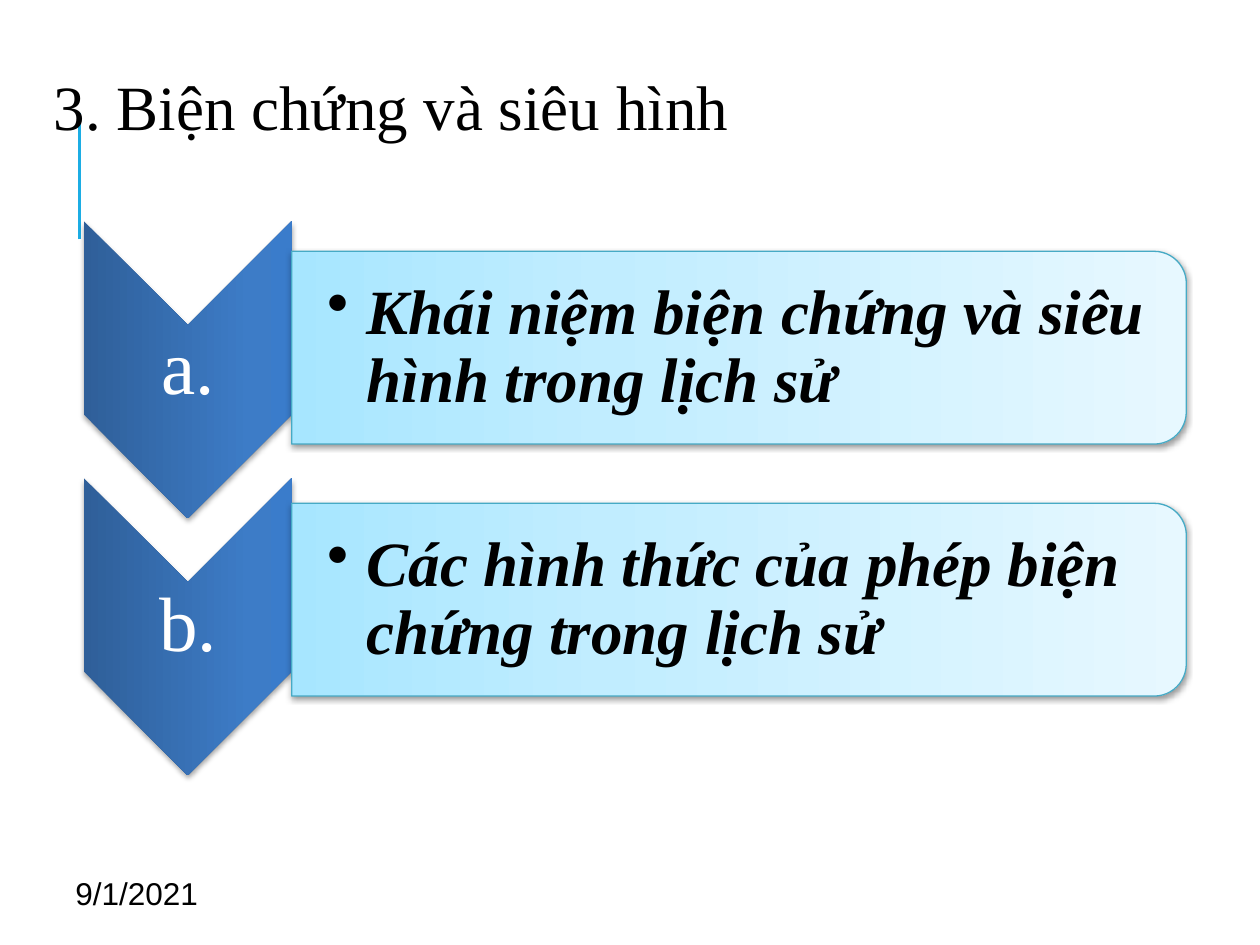
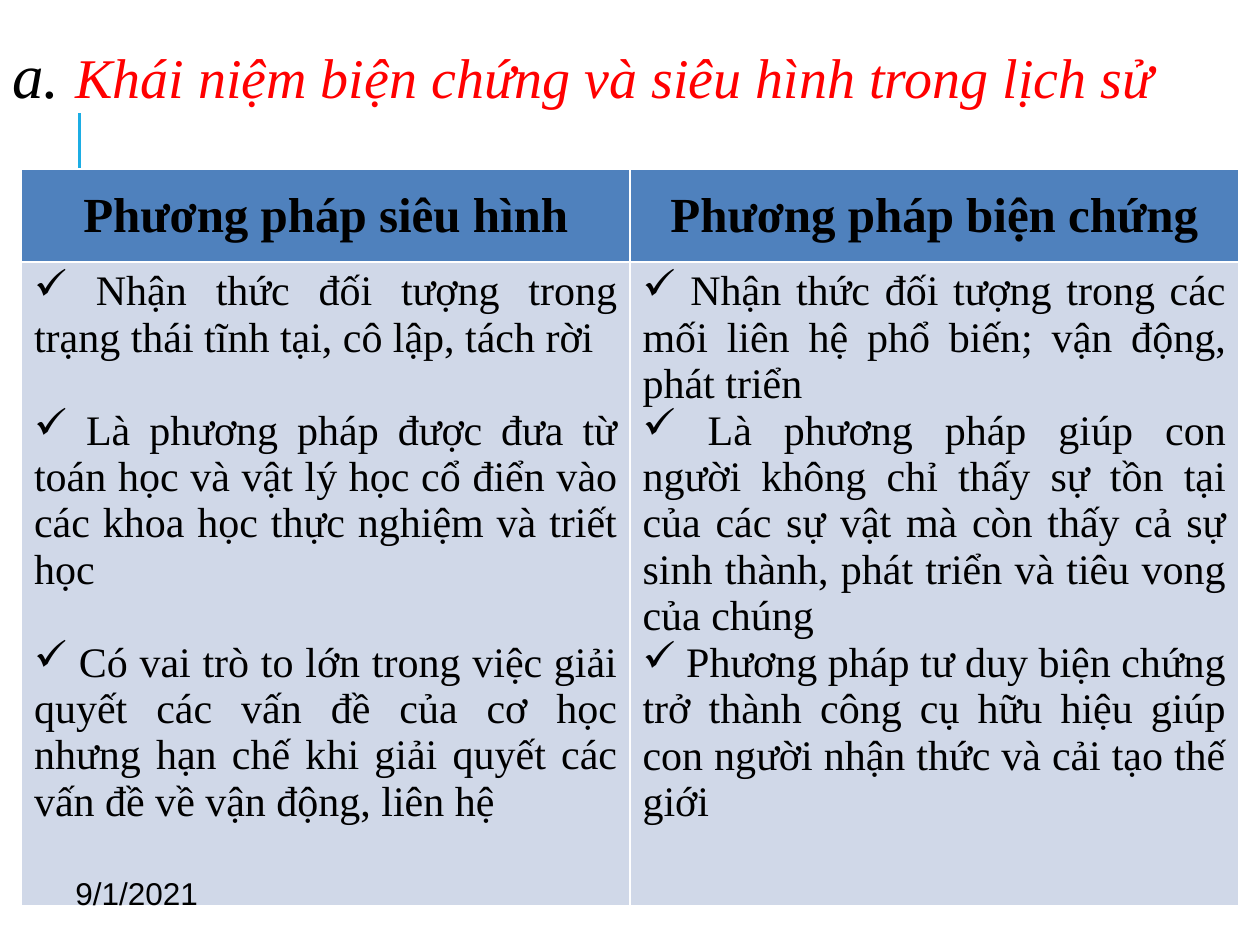
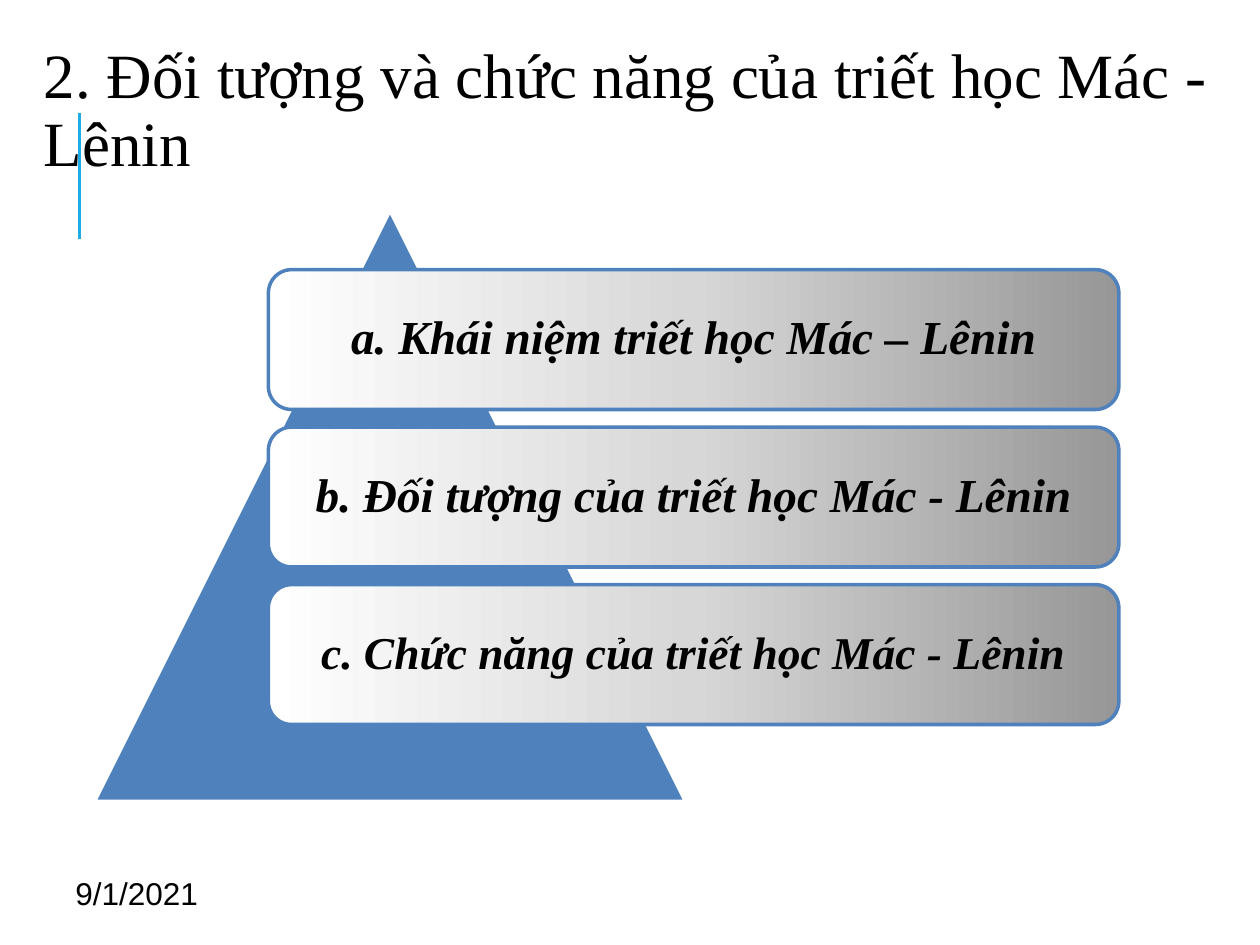
from dataclasses import dataclass, field

from lxml.etree import SubElement
from pptx import Presentation
from pptx.dml.color import RGBColor
from pptx.enum.shapes import MSO_CONNECTOR, MSO_SHAPE
from pptx.enum.text import MSO_ANCHOR, PP_ALIGN
from pptx.oxml.ns import qn
from pptx.util import Inches, Pt

COLORS = {
    "accent": "1CADE4",
    "black": "000000",
    "white": "FFFFFF",
    "red": "FF0000",
    "blue": "4F81BD",
    "pale": "D0D8E8",
    "teal": "46AAC5",
}
CHEVRON_STOPS = ((0, "2F5F99"), (80, "3D7CC7"), (100, "3A7CCB"))
PANEL_STOPS = ((0, "A7E6FF"), (35, "C1EDFF"), (100, "E7F8FF"))
BAR_STOPS = ((0, "979797"), (50, "D7D7D7"), (100, "FFFFFF"))
SERIF = "Times New Roman"
TITLE_FORMAT = {"name": SERIF, "size": Pt(36)}
LABEL_FORMAT = {"name": SERIF, "size": Pt(44)}
PANEL_FORMAT = {"name": SERIF, "size": Pt(36), "bold": True, "italic": True}
HEADER_FORMAT = {"name": SERIF, "size": Pt(28), "bold": True}
CELL_FORMAT = {"name": SERIF, "size": Pt(24), "bold": False}
DATE_FORMAT = {"name": "Arial", "size": Pt(18)}
TITLE_INSETS = (0.1, 0.05, 0.1, 0.05)


@dataclass
class Span:
    text: str
    format: dict
    color: str = "black"


@dataclass
class Area:
    left: float
    top: float
    width: float
    height: float

    def lengths(self) -> list:
        return [Inches(n) for n in (self.left, self.top, self.width, self.height)]


@dataclass
class Step:
    label: str
    text: str


@dataclass
class Bar:
    text: str
    size: int = 27


@dataclass
class Column:
    heading: str
    points: list = field(default_factory=list)
    gap: float = 0


STEPS = [
    Step("a.", "Khái niệm biện chứng và siêu hình trong lịch sử"),
    Step("b.", "Các hình thức của phép biện chứng trong lịch sử"),
]
BARS = [
    Bar("a. Khái niệm triết học Mác – Lênin"),
    Bar("b. Đối tượng của triết học Mác - Lênin"),
    Bar("c. Chức năng của triết học Mác - Lênin", 26),
]
COLUMNS = [
    Column("Phương pháp siêu hình", [
        "Nhận thức đối tượng trong trạng thái tĩnh tại, cô lập, tách rời",
        "Là phương pháp được đưa từ toán học và vật lý học cổ điển vào các "
        "khoa học thực nghiệm và triết học",
        "Có vai trò to lớn trong việc giải quyết các vấn đề của cơ học nhưng "
        "hạn chế khi giải quyết các vấn đề về vận động, liên hệ",
    ], gap=26.5),
    Column("Phương pháp biện chứng", [
        "Nhận thức đối tượng trong các mối liên hệ phổ biến; vận động, phát triển",
        "Là phương pháp giúp con người không chỉ thấy sự tồn tại của các sự vật "
        "mà còn thấy cả sự sinh thành, phát triển và tiêu vong của chúng",
        "Phương pháp tư duy biện chứng trở thành công cụ hữu hiệu giúp con "
        "người nhận thức và cải tạo thế giới",
    ]),
]


def rgb(name: str) -> RGBColor:
    return RGBColor.from_string(COLORS[name])


def add_spans(para, spans: list[Span]) -> None:
    for span in spans:
        run = para.add_run()
        run.text = span.text
        for key, value in span.format.items():
            setattr(run.font, key, value)
        run.font.color.rgb = rgb(span.color)


def add_bullet(para, mark: str, indent: float = 0) -> None:
    """Give the paragraph a hanging bullet."""
    properties = para._p.get_or_add_pPr()
    properties.set("marL", str(Inches(indent)))
    properties.set("indent", str(-Inches(indent)))
    SubElement(properties, qn("a:buChar"), char=mark)


def fill_frame(frame, spans: list[Span], insets: tuple, align=PP_ALIGN.LEFT,
               spacing: float = 0.9):
    """Set one middle-anchored paragraph in a text frame and return it."""
    settings = {"word_wrap": True, "vertical_anchor": MSO_ANCHOR.MIDDLE}
    sides = ("margin_left", "margin_top", "margin_right", "margin_bottom")
    settings.update(zip(sides, map(Inches, insets)))
    for key, value in settings.items():
        setattr(frame, key, value)
    para = frame.paragraphs[0]
    para.alignment = align
    para.line_spacing = spacing
    add_spans(para, spans)
    return para


def add_text(page, area: Area, spans: list[Span], insets: tuple = TITLE_INSETS, **layout):
    box = page.shapes.add_textbox(*area.lengths())
    return fill_frame(box.text_frame, spans, insets, **layout)


def add_plain_shape(page, kind, area: Area, line: str = "", width: float = 1):
    shape = page.shapes.add_shape(kind, *area.lengths())
    shape.shadow.inherit = False
    if line:
        shape.line.color.rgb = rgb(line)
        shape.line.width = Pt(width)
    else:
        shape.line.fill.background()
    return shape


def set_gradient(shape, stops: tuple, angle: int) -> None:
    """Fill with a linear gradient; the angle runs counter-clockwise."""
    shape.fill.gradient()
    shape.fill.gradient_angle = angle
    stop_list = shape._element.spPr.find(qn("a:gradFill")).find(qn("a:gsLst"))
    for old_stop in list(stop_list):
        stop_list.remove(old_stop)
    for percent, color in stops:
        stop = SubElement(stop_list, qn("a:gs"), pos=str(percent * 1000))
        SubElement(stop, qn("a:srgbClr"), val=color)


def add_shadow(shape, opacity: int, distance: float) -> None:
    effects = shape._element.spPr.find(qn("a:effectLst"))
    shadow = SubElement(effects, qn("a:outerShdw"), blurRad=str(Pt(3.1)),
                        dist=str(Pt(distance)), dir="5400000", rotWithShape="0")
    color = SubElement(shadow, qn("a:srgbClr"), val=COLORS["black"])
    SubElement(color, qn("a:alpha"), val=str(opacity * 1000))


def add_page(deck, title_area: Area, title: list[Span]):
    """Add a blank page with the accent rule and the title."""
    page = deck.slides.add_slide(deck.slide_layouts[6])
    rule = page.shapes.add_connector(MSO_CONNECTOR.STRAIGHT, Inches(0.63), Inches(1.9),
                                     Inches(0.63), Inches(0.9))
    rule.line.color.rgb = rgb("accent")
    rule.line.width = Pt(1.5)
    SubElement(rule._element.spPr, qn("a:effectLst"))
    add_text(page, title_area, title)
    return page


def add_date(page) -> None:
    add_text(page, Area(0.5, 6.83, 2.33, 0.52), [Span("9/1/2021", DATE_FORMAT)], spacing=1)


def add_step(page, step: Step, index: int) -> None:
    chevron_shift, panel_shift = 2.04 * index, 2 * index
    chevron = add_plain_shape(page, MSO_SHAPE.CHEVRON,
                              Area(0.31, 2.11 + chevron_shift, 2.36, 1.65))
    panel = add_plain_shape(page, MSO_SHAPE.ROUND_2_SAME_RECTANGLE,
                            Area(5.1, -0.79 + panel_shift, 1.53, 7.1), "teal", 0.75)
    for shape, stops, opacity, distance in ((chevron, CHEVRON_STOPS, 35, 1.8),
                                            (panel, PANEL_STOPS, 38, 1.6)):
        shape.rotation = 90
        set_gradient(shape, stops, 90)
        add_shadow(shape, opacity, distance)
    add_text(page, Area(0.67, 2.58 + chevron_shift, 1.65, 0.71),
             [Span(step.label, LABEL_FORMAT, "white")], (0.03,) * 4, align=PP_ALIGN.CENTER)
    para = add_text(page, Area(2.32, 2.07 + panel_shift, 7.03, 1.38),
                    [Span(step.text, PANEL_FORMAT)], (0.28, 0.03, 0.03, 0.03))
    add_bullet(para, "•", 0.31)


def style_cell(cell, color: str) -> None:
    """Give a cell thin white borders and a solid fill."""
    properties = cell._tc.get_or_add_tcPr()
    for side in ("lnL", "lnR", "lnT", "lnB"):
        border = SubElement(properties, qn(f"a:{side}"), w=str(Pt(1)))
        fill = SubElement(border, qn("a:solidFill"))
        SubElement(fill, qn("a:srgbClr"), val=COLORS["white"])
    cell.fill.solid()
    cell.fill.fore_color.rgb = rgb(color)


def add_comparison(page, columns: list[Column]) -> None:
    area = Area(0.17, 1.34, 9.66, 5.85)
    table = page.shapes.add_table(2, len(columns), *area.lengths()).table
    table.horz_banding = False
    for row, height in zip(table.rows, (0.74, 5.11)):
        row.height = Inches(height)
    for index, column in enumerate(columns):
        table.columns[index].width = Inches(area.width / len(columns))
        header, body = table.cell(0, index), table.cell(1, index)
        style_cell(header, "blue")
        style_cell(body, "pale")
        header.vertical_anchor = MSO_ANCHOR.MIDDLE
        heading = header.text_frame.paragraphs[0]
        heading.alignment = PP_ALIGN.CENTER
        add_spans(heading, [Span(column.heading, HEADER_FORMAT)])
        frame = body.text_frame
        for number, point in enumerate(column.points):
            para = frame.add_paragraph() if number else frame.paragraphs[0]
            para.alignment = PP_ALIGN.JUSTIFY
            para.space_after = Pt(column.gap)
            add_bullet(para, "✓")
            add_spans(para, [Span(f" {point}", CELL_FORMAT)])


def add_bar(page, bar: Bar, index: int) -> None:
    shape = add_plain_shape(page, MSO_SHAPE.ROUNDED_RECTANGLE,
                            Area(2.13, 2.14 + 1.25 * index, 6.75, 1.11), "blue", 2)
    set_gradient(shape, BAR_STOPS, 180)
    bar_format = PANEL_FORMAT | {"size": Pt(bar.size)}
    fill_frame(shape.text_frame, [Span(bar.text, bar_format)], (0.11,) * 4,
               align=PP_ALIGN.CENTER)


def build_outline(deck) -> None:
    page = add_page(deck, Area(0.33, 0.33, 10, 1.08),
                    [Span("3. Biện chứng và siêu hình", TITLE_FORMAT)])
    for index, step in enumerate(STEPS):
        add_step(page, step, index)
    add_date(page)


def build_methods(deck) -> None:
    italic = TITLE_FORMAT | {"italic": True}
    page = add_page(deck, Area(0, 0.08, 10, 1.08), [
        Span("a. ", italic),
        Span(STEPS[0].text, italic | {"size": Pt(32)}, "red"),
    ])
    add_comparison(page, COLUMNS)
    add_date(page)


def build_pyramid(deck) -> None:
    page = add_page(deck, Area(0.25, 0.35, 9.5, 1.08), [
        Span("2. Đối tượng và chức năng của triết học Mác - Lênin", TITLE_FORMAT)])
    triangle = add_plain_shape(page, MSO_SHAPE.ISOSCELES_TRIANGLE,
                               Area(0.75, 1.67, 4.69, 4.69), "white", 2)
    triangle.fill.solid()
    triangle.fill.fore_color.rgb = rgb("blue")
    for index, bar in enumerate(BARS):
        add_bar(page, bar, index)
    add_date(page)


def main() -> None:
    deck = Presentation()
    deck.slide_width, deck.slide_height = Inches(10), Inches(7.5)
    for build in (build_outline, build_methods, build_pyramid):
        build(deck)
    deck.save("out.pptx")


if __name__ == "__main__":
    main()
